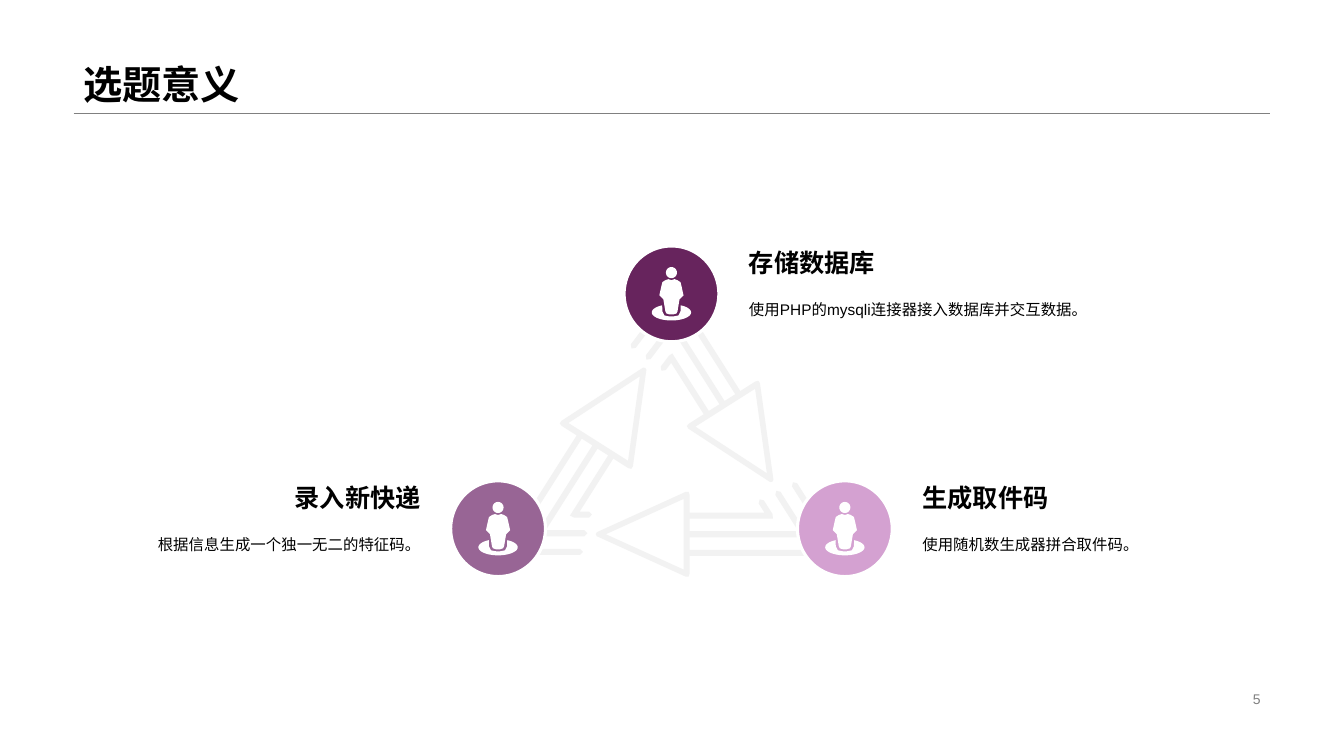
from math import cos, radians, sin, tan

from lxml import etree
from pptx import Presentation
from pptx.dml.color import RGBColor
from pptx.enum import shapes, text
from pptx.oxml.ns import qn
from pptx.util import Inches, Pt

BLACK = RGBColor(0x00, 0x00, 0x00)
WHITE = RGBColor(0xFF, 0xFF, 0xFF)
GREY = RGBColor(0x80, 0x80, 0x80)
PALE = RGBColor(0xF2, 0xF2, 0xF2)
PLUM = RGBColor(0x67, 0x24, 0x5D)
MAUVE = RGBColor(0x98, 0x65, 0x95)
ORCHID = RGBColor(0xD4, 0xA1, 0xD1)
LEFT, RIGHT = text.PP_ALIGN.LEFT, text.PP_ALIGN.RIGHT
TOP, MIDDLE, BOTTOM = (text.MSO_ANCHOR.TOP, text.MSO_ANCHOR.MIDDLE,
                       text.MSO_ANCHOR.BOTTOM)

prs = Presentation()
prs.slide_width, prs.slide_height = Inches(13.33), Inches(7.5)
s = prs.slides.add_slide(prs.slide_layouts[6])


def add_text(words, box, size, anchor=TOP, align=LEFT, spacing=1.0,
             bold=False, color=BLACK):
    tf = s.shapes.add_textbox(*map(Inches, box)).text_frame
    tf.word_wrap = True
    tf.vertical_anchor = anchor
    p = tf.paragraphs[0]
    p.alignment, p.line_spacing = align, spacing
    r = p.add_run()
    r.text = words
    for name, value in {"name": "Arial", "size": Pt(size), "bold": bold}.items():
        setattr(r.font, name, value)
    r.font.color.rgb = color


def add_outline(contours, origin, heading, color):
    """Fill closed contours, given in inches around origin and turned by heading degrees.

    A contour inside another one is a hole.
    """
    c, n = cos(radians(heading)), sin(radians(heading))
    first, *others = [[(Inches(origin[0] + x * c - y * n),
                        Inches(origin[1] + x * n + y * c)) for x, y in contour]
                      for contour in contours]
    builder = s.shapes.build_freeform(*first[0], scale=1.0)
    builder.add_line_segments(first[1:], close=True)
    for contour in others:
        builder.move_to(*contour[0])
        builder.add_line_segments(contour[1:], close=True)
    sp = builder.convert_to_shape()
    sp.shadow.inherit = False
    sp.fill.solid()
    sp.fill.fore_color.rgb = color
    sp.line.fill.background()


# Title, rule and page number
rule = s.shapes.add_connector(shapes.MSO_CONNECTOR.STRAIGHT, Inches(0.73),
                              Inches(1.12), Inches(12.6), Inches(1.12))
rule.line.color.rgb = GREY
rule.line.width = Pt(0.25)
etree.SubElement(rule._element.spPr, qn("a:effectLst"))
add_text("选题意义", (0.73, 0, 11.87, 1.12), 28, BOTTOM, spacing=0.9, bold=True)
add_text("5", (9.42, 6.82, 3.18, 0.23), 10, MIDDLE, RIGHT, color=GREY)

# Cycle arrows. Each points along +x with its tip at (0, 0): a hollow head,
# then three parallel bars whose tails fold back into shorter and shorter hooks.
HEAD_LENGTH, HEAD_HALF = 0.93, 0.42
BAR_GAP, HALF_STROKE = 0.185, 0.03
HOOK_SHARES = (1, 0.6, 0.2)
wing = [(0.01 - HEAD_LENGTH + dx, HEAD_HALF - dy)
        for dx, dy in ((0.03, 0), (0, 0), (-0.01, 0.03))]
head_hole = [(-0.1, 0), (0.06 - HEAD_LENGTH, 0.35), (0.06 - HEAD_LENGTH, -0.35)]

# tip, heading in degrees, fold angle, length to the outer fold, outer hook length
arrows = [
    ((7.66, 4.78), 57.6, 69.5, 2.11, 0.67),
    ((5.91, 5.3), 180, 57.6, 2.4, 0.8),
    ((6.4, 3.65), -57.6, 57.6, 2.28, 0.73),
]
for tip, heading, fold, length, hook in arrows:
    fold = radians(fold)
    slope = 1 / tan(fold / 2)
    along = (cos(fold), sin(fold))
    outward = (-sin(fold) * HALF_STROKE, cos(fold) * HALF_STROKE)
    outline = [(0, 0), (-0.01, -0.02)] + [(x, -y) for x, y in wing]
    for i, share in enumerate(HOOK_SHARES):
        y = (i - 1) * BAR_GAP
        x = i * BAR_GAP * slope - length
        end_x, end_y = x + hook * share * along[0], y + hook * share * along[1]
        outline += [
            (-HEAD_LENGTH, y - HALF_STROKE),
            (x - HALF_STROKE, y - HALF_STROKE),
            (x + outward[0], y + outward[1]),
            (end_x + outward[0], end_y + outward[1]),
            (end_x + HALF_STROKE * along[0], end_y + HALF_STROKE * along[1]),
            (end_x - outward[0], end_y - outward[1]),
            (x + HALF_STROKE * slope, y + HALF_STROKE),
            (-HEAD_LENGTH, y + HALF_STROKE),
        ]
    outline += wing[::-1] + [(-0.01, 0.02)]
    add_outline([outline, head_hole], tip, heading, PALE)

# Person icon, measured from the top of the head; right halves are mirrored
HEAD_RADIUS = 0.055
head = [(HEAD_RADIUS * cos(radians(a)), HEAD_RADIUS * (1 + sin(radians(a))))
        for a in range(0, 360, 15)]
neck, shoulder = [(0, 0.13), (0.03, 0.12)], [(0.06, 0.13), (0.09, 0.15), (0.1, 0.19)]
hand, foot = [(0.12, 0.28), (0.11, 0.29), (0.08, 0.32)], [(0.06, 0.44), (0.05, 0.46), (0.02, 0.47)]
body_half = neck + shoulder + hand + foot
body = body_half + [(-x, y) for x, y in body_half[:0:-1]]
notch_half = [(0.09, 0.44), (0.07, 0.48), (0.02, 0.49)]
base = [(0.195 * cos(radians(a)), 0.45 + 0.08 * sin(radians(a)))
        for a in range(-62, 243, 8)]
base += [(-x, y) for x, y in notch_half] + notch_half[::-1]

# Steps: circle left and top, colour, side of the text, heading, detail
CIRCLE_WIDTH, CIRCLE_HEIGHT = 0.94, 0.95
TEXT_WIDTH, TEXT_GAP, HEADING_HEIGHT = 3.55, 0.2, 0.48
steps = [
    (6.19, 2.44, PLUM, RIGHT, "存储数据库",
     "使用PHP的mysqli连接器接入数据库并交互数据。"),
    (4.47, 4.77, MAUVE, LEFT, "录入新快递",
     "根据信息生成一个独一无二的特征码。"),
    (7.91, 4.77, ORCHID, RIGHT, "生成取件码",
     "使用随机数生成器拼合取件码。"),
]
for left, top, color, side, heading, detail in steps:
    circle = s.shapes.add_shape(shapes.MSO_SHAPE.OVAL, Inches(left), Inches(top),
                                Inches(CIRCLE_WIDTH), Inches(CIRCLE_HEIGHT))
    circle.shadow.inherit = False
    circle.fill.solid()
    circle.fill.fore_color.rgb = color
    circle.line.color.rgb = WHITE
    circle.line.width = Pt(2.25)
    add_outline([base, body, head], (left + CIRCLE_WIDTH / 2, top + 0.21), 0, WHITE)

    if side == RIGHT:
        text_left, align = left + CIRCLE_WIDTH + TEXT_GAP, LEFT
    else:
        text_left, align = left - TEXT_GAP - TEXT_WIDTH, RIGHT
    heading_top = top - 0.08
    add_text(detail, (text_left, heading_top + HEADING_HEIGHT, TEXT_WIDTH, 1), 11,
             align=align, spacing=1.5)
    add_text(heading, (text_left, heading_top, TEXT_WIDTH, HEADING_HEIGHT), 18,
             MIDDLE, align, bold=True)

prs.save("out.pptx")
